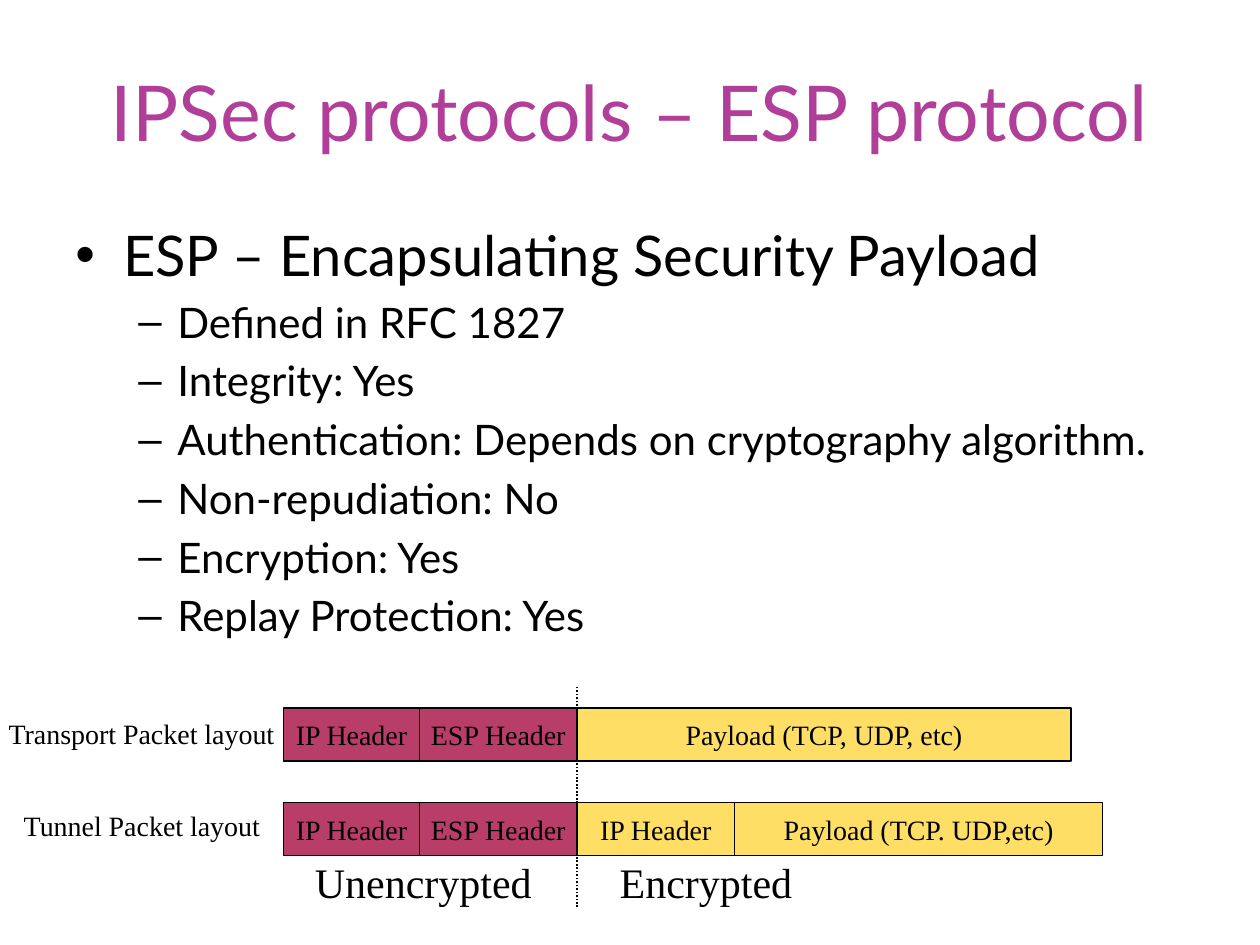
"""Build the ESP protocol slide with its packet layout diagram."""
from typing import NamedTuple

from lxml.etree import SubElement
from pptx import Presentation
from pptx.dml.color import RGBColor
from pptx.enum.dml import MSO_LINE
from pptx.enum.shapes import MSO_CONNECTOR, MSO_SHAPE
from pptx.enum.text import MSO_ANCHOR as ANCHOR, MSO_AUTO_SIZE as FIT, PP_ALIGN as ALIGN
from pptx.oxml.ns import qn
from pptx.util import Emu, Pt

PX = 9144
SANS, SERIF = "Lato", "Times New Roman"
BLACK, PURPLE, CRIMSON, YELLOW = "000000", "B13F9A", "B83D68", "FFDE66"
FIELD_HEIGHT = 42
PACKET_LEFT = 225
SPLIT_X = 458


class Field(NamedTuple):
    """One field of a packet."""
    text: str
    width: int
    fill: str


class Packet(NamedTuple):
    """A row of adjacent fields."""
    top: int
    fields: tuple[Field, ...]


class Label(NamedTuple):
    """A plain caption."""
    text: str
    left: int
    top: int
    width: int
    height: int
    size: int
    wrap: bool


class Bullet(NamedTuple):
    """A bullet level's style."""
    mark: str
    size: int
    margin: int
    hanging: int


TOPIC = Bullet("•", 32, 38, 38)
DETAIL = Bullet("–", 24, 81, 31)
BULLETS = (
    ("ESP – Encapsulating Security Payload", TOPIC),
    ("Defined in RFC 1827", DETAIL),
    ("Integrity: Yes", DETAIL),
    ("Authentication: Depends on cryptography algorithm.", DETAIL),
    ("Non-repudiation: No", DETAIL),
    ("Encryption: Yes", DETAIL),
    ("Replay Protection: Yes", DETAIL),
)
HEADERS = (Field("IP Header", 108, CRIMSON), Field("ESP Header", 125, CRIMSON))
PACKETS = (
    Packet(562, HEADERS + (Field("Payload (TCP, UDP, etc)", 392, YELLOW),)),
    Packet(637, HEADERS + (Field("IP Header", 125, YELLOW),
                           Field("Payload (TCP. UDP,etc)", 292, YELLOW))),
)
LABELS = (
    Label("Transport Packet layout", -3, 564, 239, 37, 16, True),
    Label("Tunnel Packet layout", 9, 637, 216, 37, 16, True),
    Label("Unencrypted", 240, 675, 192, 50, 24, False),
    Label("Encrypted", 482, 675, 157, 50, 24, False),
)


def px(n: int) -> Emu:
    """Turn px into EMU."""
    return Emu(n * PX)


def color(value: str) -> RGBColor:
    """Turn a hex string into a colour."""
    return RGBColor.from_string(value)


def add_run(p, text: str, size: int, font: str, ink: str = BLACK) -> None:
    """Add a styled run to a paragraph."""
    r = p.add_run()
    r.text = text
    r.font.size = Pt(size)
    r.font.name = font
    r.font.color.rgb = color(ink)


def add_box(s, left: int, top: int, width: int, height: int, wrap: bool = True):
    """Add a text box and return its text frame."""
    tf = s.shapes.add_textbox(px(left), px(top), px(width), px(height)).text_frame
    tf.word_wrap = wrap
    return tf


def add_title(s, text: str) -> None:
    """Add the centred slide title."""
    tf = add_box(s, 50, 25, 900, 125)
    tf.vertical_anchor = ANCHOR.MIDDLE
    p = tf.paragraphs[0]
    p.alignment = ALIGN.CENTER
    add_run(p, text, 44, SANS, PURPLE)


def add_bullets(s) -> None:
    """Add the bulleted list."""
    tf = add_box(s, 50, 170, 900, 495)
    for i, (text, style) in enumerate(BULLETS):
        p = tf.add_paragraph() if i else tf.paragraphs[0]
        p.level = int(style is DETAIL)
        p.space_before = Pt(style.size * 0.2 if i else 0)
        pPr = p._p.get_or_add_pPr()
        pPr.set("marL", str(px(style.margin)))
        pPr.set("indent", str(px(-style.hanging)))
        SubElement(pPr, qn("a:buFont"), typeface="Arial")
        SubElement(pPr, qn("a:buChar"), char=style.mark)
        add_run(p, text, style.size, SANS)


def add_packet(s, packet: Packet) -> None:
    """Draw a packet's fields from left to right."""
    left = PACKET_LEFT
    for field in packet.fields:
        sp = s.shapes.add_shape(MSO_SHAPE.RECTANGLE, px(left), px(packet.top),
                                px(field.width), px(FIELD_HEIGHT))
        sp.shadow.inherit = False
        sp.fill.solid()
        sp.fill.fore_color.rgb = color(field.fill)
        sp.line.color.rgb = color(BLACK)
        sp.line.width = Pt(1)
        tf = sp.text_frame
        tf.word_wrap = False
        tf.vertical_anchor = ANCHOR.MIDDLE
        p = tf.paragraphs[0]
        p.alignment = ALIGN.CENTER
        add_run(p, field.text, 16, SERIF)
        left += field.width


def add_label(s, label: Label) -> None:
    """Add a caption to the diagram."""
    tf = add_box(s, label.left, label.top, label.width, label.height, label.wrap)
    tf.auto_size = FIT.SHAPE_TO_FIT_TEXT
    add_run(tf.paragraphs[0], label.text, label.size, SERIF)


def add_divider(s) -> None:
    """Draw the dotted line where encryption starts."""
    line = s.shapes.add_connector(MSO_CONNECTOR.STRAIGHT, px(SPLIT_X), px(720),
                                  px(SPLIT_X), px(545))
    line.line.color.rgb = color(BLACK)
    line.line.width = Pt(1)
    line.line.dash_style = MSO_LINE.ROUND_DOT
    SubElement(line._element.spPr, qn("a:effectLst"))


def main() -> None:
    """Build and save the slide."""
    prs = Presentation()
    prs.slide_width, prs.slide_height = px(1000), px(750)
    s = prs.slides.add_slide(prs.slide_layouts[6])
    add_title(s, "IPSec protocols – ESP protocol")
    add_bullets(s)
    for packet in PACKETS:
        add_packet(s, packet)
    for label in LABELS:
        add_label(s, label)
    add_divider(s)
    prs.save("out.pptx")


if __name__ == "__main__":
    main()
